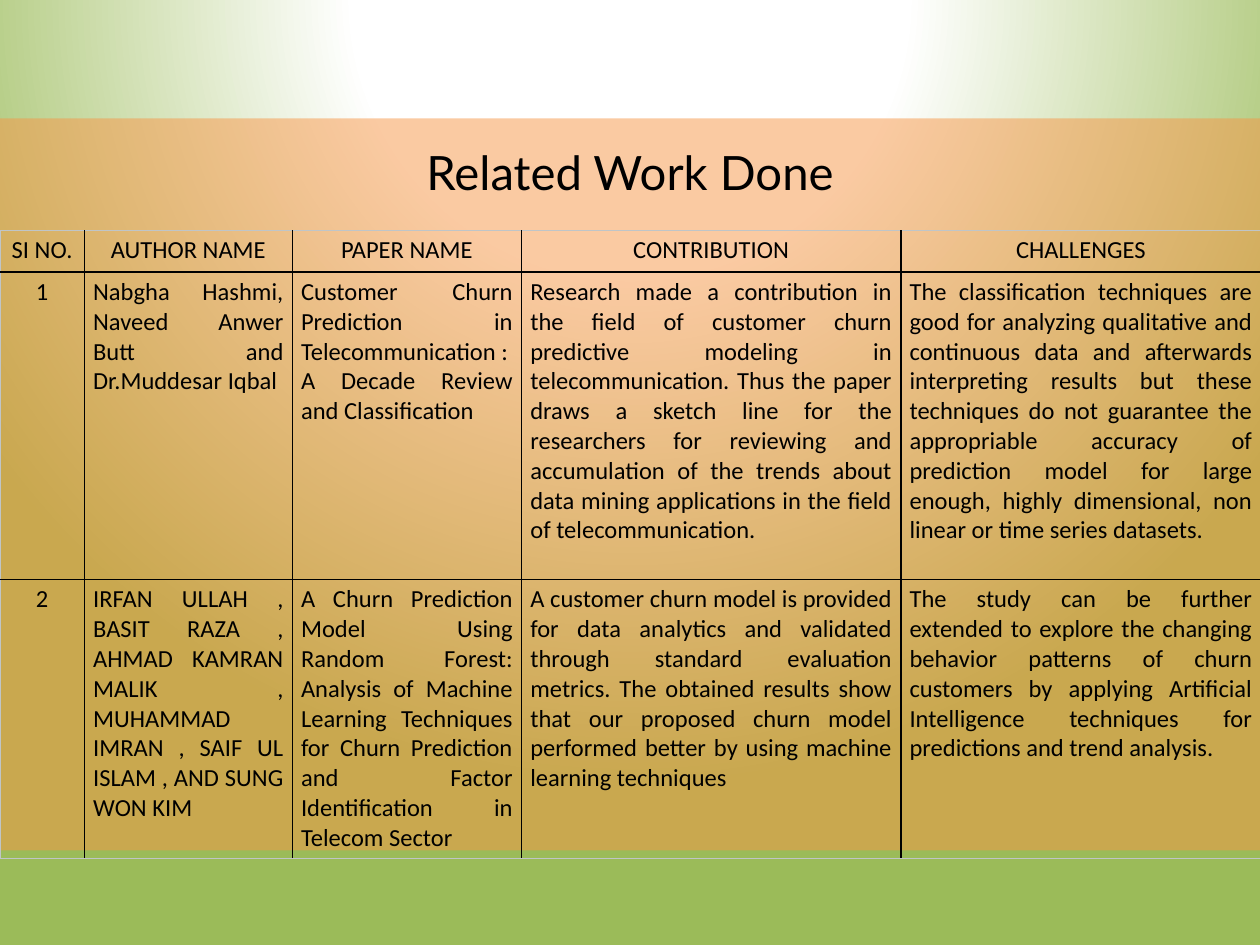
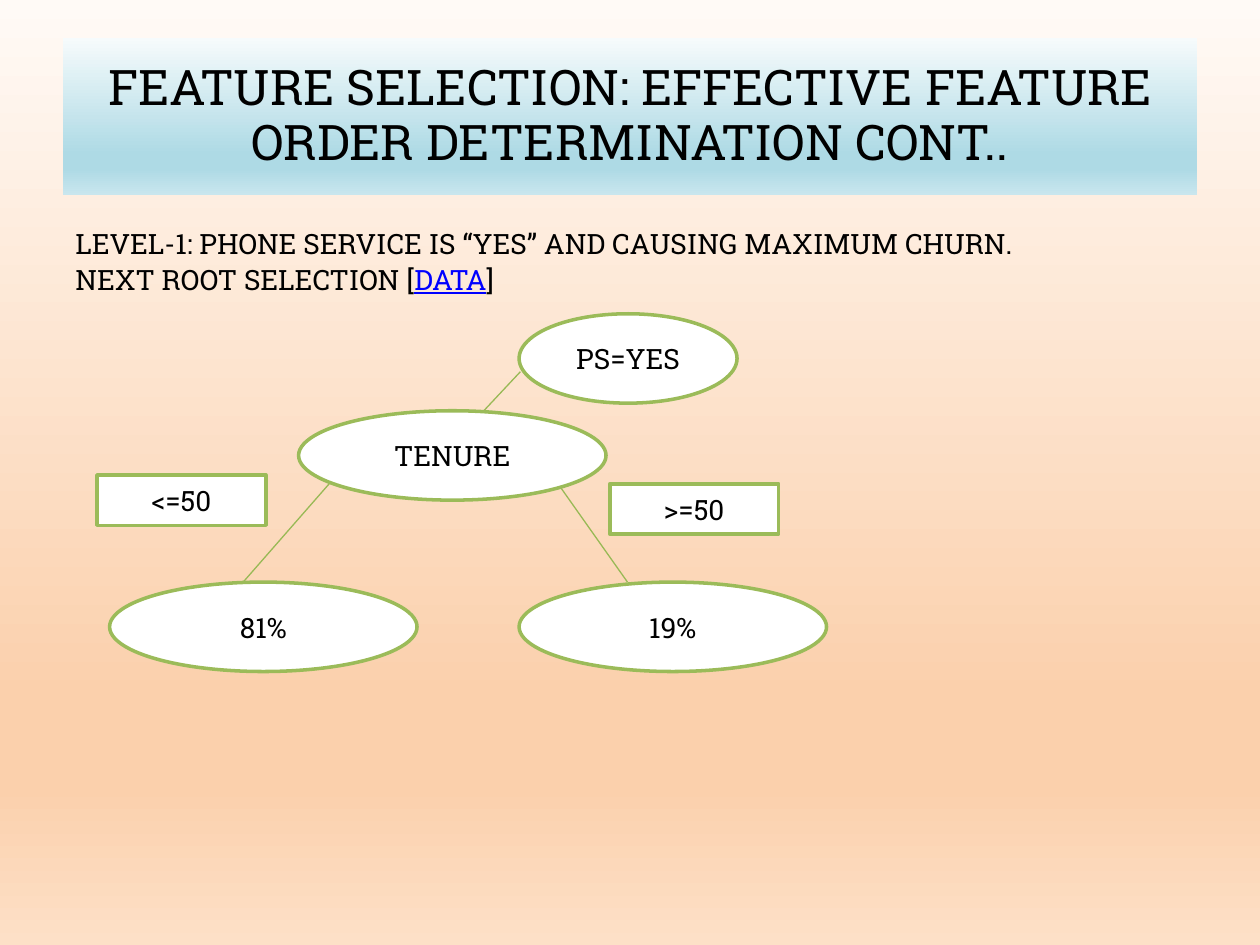
from pptx import Presentation
from pptx import util as u
from pptx.dml import color
from pptx.enum import shapes, text
from pptx.oxml import ns, parse_xml

Inches = u.Inches
hue = color.RGBColor.from_string
BLACK, WHITE, GREEN, LINK = "000000", "FFFFFF", "9BBB59", "0000FF"
ALIGN, MIDDLE = text.PP_ALIGN, text.MSO_ANCHOR.MIDDLE
BANNER = {"name": "Lato", "size": u.Pt(27)}
CELL = {"name": "Calibri", "size": u.Pt(14), "bold": False}
TITLE = {"name": "Roboto Slab", "size": u.Pt(28)}
LABEL = {"name": "Roboto Slab", "size": u.Pt(16)}
DOWN = '<a:lin ang="5400000" scaled="0"/>'


def write(frame, words, style, align, ink=BLACK):
    """Fill a frame, one paragraph per line of words."""
    frame.word_wrap = True
    for number, line in enumerate(words.split("\n")):
        para = frame.add_paragraph() if number else frame.paragraphs[0]
        para.alignment = align
        span = para.add_run()
        span.text = line
        span.font.color.rgb = hue(ink)
        for key, value in style.items():
            setattr(span.font, key, value)


def blend(owner, fill, stops, direction):
    """Give a page background or a box a gradient of (percent, colour) stops."""
    fill.gradient()
    old = next(owner._element.iter(ns.qn("a:gradFill")))
    marks = "".join(f'<a:gs pos="{at * 1000}"><a:srgbClr val="{tint}"/></a:gs>'
                    for at, tint in stops)
    old.getparent().replace(old, parse_xml(
        f'<a:gradFill {ns.nsdecls("a")} rotWithShape="1">'
        f'<a:gsLst>{marks}</a:gsLst>{direction}</a:gradFill>'))


deck = Presentation()
deck.slide_width, deck.slide_height = Inches(10), Inches(7.5)
blank = deck.slide_layouts[6]

# Slide 1: related work
page = deck.slides.add_slide(blank)
blend(page, page.background.fill, [(0, WHITE), (35, WHITE), (100, GREEN)],
      '<a:path path="circle"><a:fillToRect l="50000" t="-80000" r="50000" b="180000"/></a:path>')

# Translucent orange panel with the heading at its top
panel = page.shapes.add_shape(shapes.MSO_SHAPE.RECTANGLE, 0, Inches(0.94), Inches(10), Inches(5.81))
panel.shadow.inherit = False
panel.line.fill.background()
panel.fill.solid()
panel.fill.fore_color.rgb = hue("F79646")
tint = next(panel._element.spPr.iter(ns.qn("a:srgbClr")))
tint.append(parse_xml(f'<a:alpha {ns.nsdecls("a")} val="50000"/>'))
panel.text_frame.vertical_anchor = text.MSO_ANCHOR.TOP
panel.text_frame.margin_top = Inches(0.2)
write(panel.text_frame, "Related Work Done", BANNER, ALIGN.CENTER)

# Table of papers
papers = [
    ["SI NO.", "AUTHOR NAME", "PAPER NAME", "CONTRIBUTION", "CHALLENGES"],
    ["1",
     "Nabgha Hashmi, Naveed Anwer Butt and Dr.Muddesar Iqbal",
     "Customer Churn Prediction in Telecommunication :\nA Decade Review and Classification",
     "Research made a contribution in the field of customer churn predictive modeling in "
     "telecommunication. Thus the paper draws a sketch line for the researchers for reviewing "
     "and accumulation of the trends about data mining applications in the field of "
     "telecommunication.",
     "The classification techniques are good for analyzing qualitative and continuous data and "
     "afterwards interpreting results but these techniques do not guarantee the appropriable "
     "accuracy of prediction model for large enough, highly dimensional, non linear or time "
     "series datasets."],
    ["2",
     "IRFAN ULLAH , BASIT RAZA , AHMAD KAMRAN MALIK , MUHAMMAD IMRAN , SAIF UL ISLAM , "
     "AND SUNG WON KIM",
     "A Churn Prediction Model Using Random Forest: Analysis of Machine Learning Techniques "
     "for Churn Prediction and Factor Identification in Telecom Sector",
     "A customer churn model is provided for data analytics and validated through standard "
     "evaluation metrics. The obtained results show that our proposed churn model performed "
     "better by using machine learning techniques",
     "The study can be further extended to explore the changing behavior patterns of churn "
     "customers by applying Artificial Intelligence techniques for predictions and trend "
     "analysis."],
]
widths, heights = [0.67, 1.65, 1.82, 3.01, 2.86], [0.33, 2.44, 2.2]
table = page.shapes.add_table(len(heights), len(widths), 0, Inches(1.83),
                              Inches(sum(widths)), Inches(sum(heights))).table
table.first_row = table.horz_banding = False
for column, width in zip(table.columns, widths):
    column.width = Inches(width)
for row, height in zip(table.rows, heights):
    row.height = Inches(height)
for r, entries in enumerate(papers):
    for c, words in enumerate(entries):
        cell = table.cell(r, c)
        cell.margin_left = cell.margin_right = Inches(0.07)
        cell.margin_top = cell.margin_bottom = Inches(0.04)
        write(cell.text_frame, words, CELL, ALIGN.JUSTIFY if r and c else ALIGN.CENTER)
        # Black rules inside, a faint hairline around the outside
        outer = {"L": c == 0, "R": c == len(widths) - 1, "T": r == 0, "B": r == len(heights) - 1}
        for side, faint in outer.items():
            weight, ink = (3175, "BFC5C8") if faint else (12700, BLACK)
            cell._tc.get_or_add_tcPr().append(parse_xml(
                f'<a:ln{side} {ns.nsdecls("a")} w="{weight}"><a:solidFill>'
                f'<a:srgbClr val="{ink}"/></a:solidFill></a:ln{side}>'))
        cell.fill.background()

# Slide 2: feature selection
page = deck.slides.add_slide(blank)
blend(page, page.background.fill,
      [(0, "FFFAF6"), (74, "FBD0AC"), (83, "FBD0AC"), (100, "FDE0C7")], DOWN)

# Title band
band = page.shapes.add_shape(shapes.MSO_SHAPE.RECTANGLE, Inches(0.5), Inches(0.3), Inches(9), Inches(1.25))
band.shadow.inherit = False
band.line.fill.background()
blend(band, band.fill, [(0, "F6FBFC"), (74, "AEDAE5"), (83, "AEDAE5"), (100, "C9E6EE")], DOWN)
band.text_frame.vertical_anchor = MIDDLE
write(band.text_frame, "FEATURE SELECTION: EFFECTIVE FEATURE ORDER DETERMINATION CONT..",
      TITLE, ALIGN.CENTER)
band.text_frame.paragraphs[0].line_spacing = 0.93

# Explanation above the tree
note = page.shapes.add_textbox(Inches(0.5), Inches(1.75), Inches(9), Inches(0.75)).text_frame
write(note, "LEVEL-1: PHONE SERVICE IS “YES” AND CAUSING MAXIMUM CHURN.\nNEXT ROOT SELECTION [",
      LABEL, ALIGN.LEFT)
para = note.paragraphs[1]
para.space_before = u.Pt(1.2)
for words, ink, underline in [("DATA", LINK, True), ("]", BLACK, False)]:
    span = para.add_run()
    span.text = words
    span.font.color.rgb = hue(ink)
    for key, value in {**LABEL, "underline": underline}.items():
        setattr(span.font, key, value)

# Decision tree: branches, then nodes and branch conditions
branches = [(4.13, 2.95, 3.84, 3.26), (2.63, 3.82, 1.93, 4.62), (4.45, 3.87, 4.98, 4.62)]
for ends in branches:
    branch = page.shapes.add_connector(shapes.MSO_CONNECTOR.STRAIGHT, *map(Inches, ends))
    branch.line.color.rgb = hue("98B955")
    branch.line.width = u.Pt(0.75)
    branch._element.spPr.append(parse_xml(f'<a:effectLst {ns.nsdecls("a")}/>'))

OVAL, RECTANGLE = shapes.MSO_SHAPE.OVAL, shapes.MSO_SHAPE.RECTANGLE
nodes = [
    ("PS=YES", OVAL, 4.12, 2.49, 1.73, 0.71),
    ("TENURE", OVAL, 2.37, 3.26, 2.44, 0.71),
    ("<=50", RECTANGLE, 0.77, 3.77, 1.34, 0.4),
    ("81%", OVAL, 0.87, 4.62, 2.44, 0.71),
    ("19%", OVAL, 4.12, 4.62, 2.44, 0.71),
    (">=50", RECTANGLE, 4.84, 3.84, 1.34, 0.4),
]
for words, outline, *place in nodes:
    node = page.shapes.add_shape(outline, *map(Inches, place))
    node.shadow.inherit = False
    node.fill.solid()
    node.fill.fore_color.rgb = hue(WHITE)
    node.line.color.rgb = hue(GREEN)
    node.line.width = u.Pt(2)
    node.text_frame.vertical_anchor = MIDDLE
    write(node.text_frame, words, LABEL, ALIGN.CENTER)

deck.save("out.pptx")
